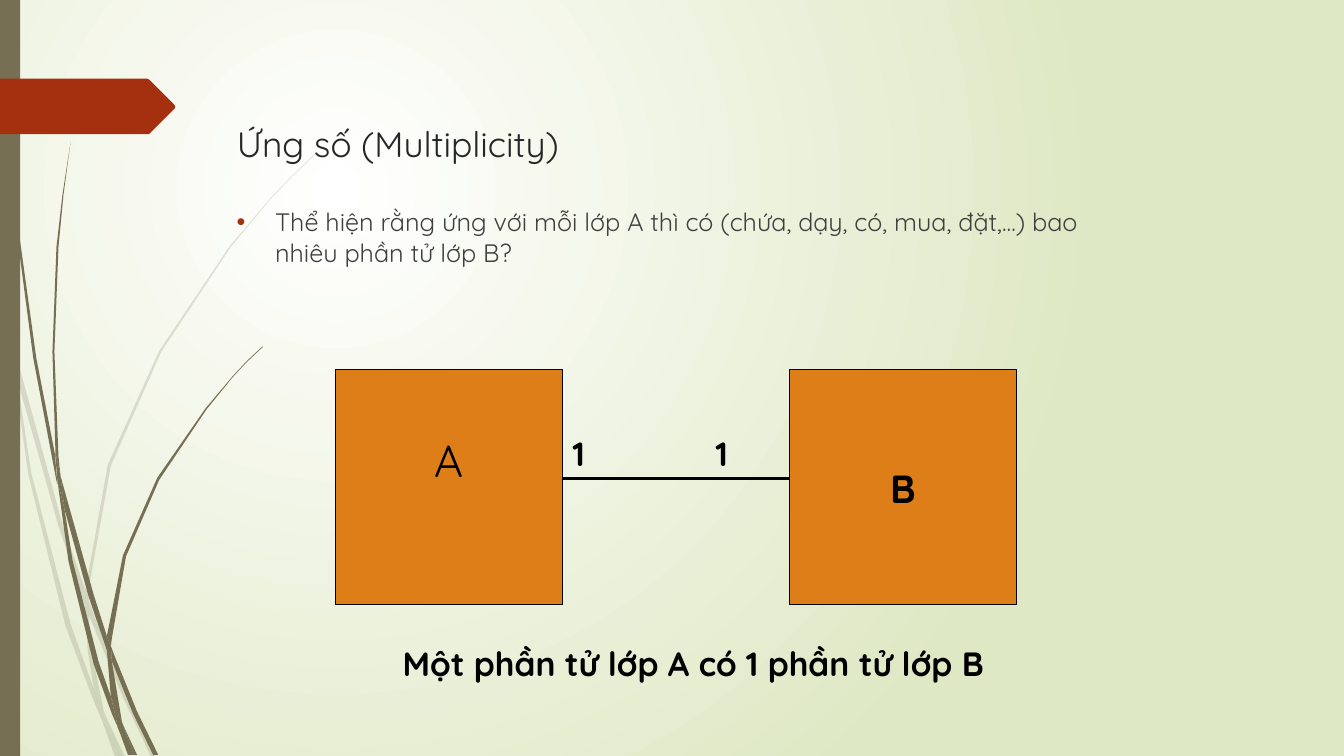
"""Builds the multiplicity slide: two classes joined by a one-to-one association."""
from dataclasses import dataclass

from pptx import Presentation, oxml, util as u
from pptx.dml.color import RGBColor
from pptx.enum import shapes, text
from pptx.oxml.ns import nsdecls, qn


@dataclass(frozen=True)
class Theme:
    font: str = "Quicksand"
    paper: str = "FFFFFF"
    paper_edge: str = "DFE8C4"
    grass: str = "766F54"
    accent: str = "A53010"
    box: str = "DE7E18"
    ink: str = "000000"
    title: str = "262626"
    body: str = "404040"
    title_size: float = 25.2
    body_size: int = 18
    label_size: int = 24
    class_a_size: int = 32
    class_b_size: int = 28


PALE_BLADES = [
    [(.11, 3.5), (.09, 3.22), (0, 2.82), (0, 2.99), (.1, 3.44)],
    [(.58, 5.22), (.84, 5.99), (.85, 5.86), (.62, 5.2), (.14, 3.45), (.17, 3.76)],
    [(.92, 6.07), (.88, 5.96), (.88, 6.1), (1.23, 6.94), (1.5, 7.51), (1.55, 7.51),
     (1.27, 6.92)],
    [(1.19, 7.51), (1.24, 7.51), (1.05, 7.11)],
    [(.93, 6.83), (.7, 6.19), (.31, 4.69), (.17, 3.76), (.11, 3.5), (.28, 4.7),
     (.65, 6.21), (.92, 6.93), (1.01, 7.14), (.99, 7.07)],
    [(.84, 5.99), (.87, 6.46), (.93, 6.83), (.96, 6.92), (1.05, 7.11), (1.03, 7.06),
     (.91, 6.46), (.88, 6.1), (.88, 6.08)],
    [(.88, 5.84), (1.1, 4.62), (1.6, 3.49), (2.29, 2.45), (2.68, 1.98), (2.9, 1.75),
     (3.12, 1.54), (3.12, 1.53), (2.89, 1.75), (2.68, 1.97), (2.28, 2.44), (1.58, 3.48),
     (1.07, 4.61), (.85, 5.84), (.85, 5.86), (.88, 5.96)],
    [(1.01, 7.14), (1.14, 7.51), (1.19, 7.51)],
    [(.88, 6.08), (.88, 6.1), (.88, 5.96), (.85, 5.86), (.84, 5.99)],
    [(.96, 6.92), (.93, 6.83), (.99, 7.07), (1.01, 7.14), (1.19, 7.51), (1.05, 7.11)],
]
DARK_BLADES = [
    [(.07, 1.1), (.17, 2.33), (.33, 3.55), (.56, 4.77), (.57, 4.81), (.55, 4.57),
     (.55, 4.53), (.36, 3.55), (.19, 2.32), (.08, 1.09), (.05, .48), (.04, 0), (.03, 0),
     (.04, .48)],
    [(.88, 5.92), (1.06, 6.45), (1.06, 6.33), (1.06, 6.31), (.93, 5.9), (.6, 4.72),
     (.64, 5.05)],
    [(1.13, 6.49), (1.1, 6.41), (1.11, 6.56), (1.32, 7.08), (1.52, 7.49), (1.57, 7.49),
     (1.36, 7.06)],
    [(1.1, 6.91), (.98, 6.57), (.72, 5.56), (.64, 5.05), (.57, 4.77), (.68, 5.57),
     (.93, 6.59), (1.11, 7.08), (1.17, 7.22), (1.16, 7.17)],
    [(.6, 4.72), (.58, 4.53), (.54, 3.49), (.58, 2.45), (.63, 1.93), (.7, 1.41),
     (.62, 1.93), (.56, 2.45), (.52, 3.49), (.55, 4.49)],
    [(1.33, 7.49), (1.36, 7.49), (1.22, 7.19)],
    [(.57, 4.77), (.64, 5.05), (.6, 4.72), (.55, 4.49), (.55, 4.53)],
    [(1.11, 6.33), (1.25, 5.52), (1.58, 4.76), (2.05, 4.06), (2.31, 3.74), (2.45, 3.59),
     (2.61, 3.44), (2.6, 3.44), (2.45, 3.58), (2.31, 3.73), (2.04, 4.05), (1.56, 4.74),
     (1.22, 5.51), (1.06, 6.31), (1.1, 6.41)],
    [(1.17, 7.22), (1.27, 7.49), (1.31, 7.49)],
    [(1.06, 6.45), (1.1, 6.91), (1.16, 7.06), (1.22, 7.19), (1.21, 7.16), (1.11, 6.56),
     (1.09, 6.51)],
    [(1.06, 6.45), (1.09, 6.51), (1.11, 6.56), (1.1, 6.41), (1.06, 6.31), (1.06, 6.33)],
    [(1.16, 7.06), (1.1, 6.91), (1.16, 7.17), (1.17, 7.22), (1.3, 7.49), (1.33, 7.49),
     (1.22, 7.19)],
]
ARROW_TAB = [(0, .78), (1.46, .78), (1.48, .79), (1.73, 1.04), (1.74, 1.06), (1.73, 1.08),
             (1.48, 1.33), (1.46, 1.33), (0, 1.33)]


def write(shape, content, *, size, color, font, bold=False, align=text.PP_ALIGN.LEFT,
          anchor=text.MSO_ANCHOR.TOP, wrap=True, bottom=0.05):
    frame = shape.text_frame
    frame.auto_size = text.MSO_AUTO_SIZE.NONE
    frame.word_wrap = wrap
    frame.vertical_anchor = anchor
    frame.margin_bottom = u.Inches(bottom)
    paragraph = frame.paragraphs[0]
    paragraph.alignment = align
    run = paragraph.add_run()
    run.text = content
    run.font.name = font
    run.font.size = u.Pt(size)
    run.font.bold = bold
    run.font.color.rgb = RGBColor.from_string(color)
    return paragraph


class SlideBuilder:
    def __init__(self, slide, theme):
        self.slide = slide
        self.theme = theme

    def background(self):
        stops = "".join(
            f'<a:gs pos="{position}"><a:srgbClr val="{color}"/></a:gs>'
            for position, color in ((0, self.theme.paper), (100000, self.theme.paper_edge)))
        self.slide.element.cSld.insert(0, oxml.parse_xml(
            f'<p:bg {nsdecls("p", "a")}><p:bgPr><a:gradFill rotWithShape="1">'
            f'<a:gsLst>{stops}</a:gsLst><a:path path="circle">'
            '<a:fillToRect l="50000" t="50000" r="100000" b="100000"/></a:path>'
            '</a:gradFill><a:effectLst/></p:bgPr></p:bg>'))

    def paint(self, shape, fill, line=None):
        shape.shadow.inherit = False
        shape.fill.solid()
        shape.fill.fore_color.rgb = RGBColor.from_string(fill)
        if line:
            shape.line.color.rgb = RGBColor.from_string(line)
            shape.line.width = u.Pt(0.75)
        else:
            shape.line.fill.background()
        return shape

    def outline(self, corners, fill, alpha=None):
        points = [(u.Inches(x), u.Inches(y)) for x, y in corners]
        builder = self.slide.shapes.build_freeform(*points[0])
        builder.add_line_segments(points[1:], close=True)
        shape = self.paint(builder.convert_to_shape(), fill)
        if alpha:
            color = shape.element.spPr.find(f'{qn("a:solidFill")}/{qn("a:srgbClr")}')
            color.append(oxml.parse_xml(f'<a:alpha {nsdecls("a")} val="{alpha * 1000}"/>'))

    def box(self, place, fill, line=None):
        shape = self.slide.shapes.add_shape(shapes.MSO_SHAPE.RECTANGLE, *map(u.Inches, place))
        return self.paint(shape, fill, line)

    def title(self, content, place):
        shape = self.slide.shapes.title
        shape.left, shape.top, shape.width, shape.height = map(u.Inches, place)
        self.slide.shapes.element.append(shape.element)
        write(shape, content, size=self.theme.title_size, color=self.theme.title,
              font=self.theme.font)

    def label(self, content, place, **style):
        shape = self.slide.shapes.add_textbox(*map(u.Inches, place))
        style = {"size": self.theme.label_size, "color": self.theme.ink,
                 "font": self.theme.font, "bold": True} | style
        return write(shape, content, **style)

    def bullet(self, content, place):
        paragraph = self.label(content, place, size=self.theme.body_size,
                               color=self.theme.body, bold=False)
        properties = paragraph._p.get_or_add_pPr()
        indent = u.Inches(0.38)
        properties.set("marL", str(indent))
        properties.set("indent", str(-indent))
        for mark in (f'<a:buClr {nsdecls("a")}><a:srgbClr val="{self.theme.accent}"/></a:buClr>',
                     f'<a:buFont {nsdecls("a")} typeface="Arial"/>',
                     f'<a:buChar {nsdecls("a")} char="•"/>'):
            properties.append(oxml.parse_xml(mark))

    def class_box(self, name, place, **style):
        shape = self.box(place, self.theme.box, self.theme.ink)
        write(shape, name, color=self.theme.ink, font=self.theme.font, wrap=False,
              align=text.PP_ALIGN.CENTER, anchor=text.MSO_ANCHOR.MIDDLE, **style)

    def association(self, left, right, y):
        line = self.slide.shapes.add_connector(
            shapes.MSO_CONNECTOR.STRAIGHT, *map(u.Inches, (left, y, right, y)))
        line.line.color.rgb = RGBColor.from_string(self.theme.ink)
        line.line.width = u.Pt(2.25)
        line.element.spPr.append(oxml.parse_xml(f'<a:effectLst {nsdecls("a")}/>'))


def main():
    presentation = Presentation()
    presentation.slide_width, presentation.slide_height = u.Inches(13.33), u.Inches(7.5)
    theme = Theme()
    builder = SlideBuilder(presentation.slides.add_slide(presentation.slide_layouts[5]), theme)

    builder.background()
    for blades, alpha in ((PALE_BLADES, 20), (DARK_BLADES, None)):
        for blade in blades:
            builder.outline(blade, theme.grass, alpha)
    builder.box((0, 0, 0.2, 7.5), theme.grass)
    builder.outline(ARROW_TAB, theme.accent)

    builder.title("Ứng số (Multiplicity)", (2.25, 1.16, 7, 0.53))
    builder.bullet("Thể hiện rằng ứng với mỗi lớp A thì có (chứa, dạy, có, mua, đặt,...) "
                   "bao nhiêu phần tử lớp B?", (2.25, 2, 8.96, 5.15))
    builder.class_box("A", (3.33, 3.67, 2.25, 2.33), size=theme.class_a_size, bottom=0.6)
    builder.class_box("B", (7.83, 3.67, 2.25, 2.33), size=theme.class_b_size, bold=True)
    builder.association(5.58, 7.83, 4.75)
    for left in (5.58, 7):
        builder.label("1", (left, 4.25, 0.75, 0.5))
    builder.label("Một phần tử lớp A có 1 phần tử lớp B", (3.25, 6.33, 7.25, 0.5),
                  align=text.PP_ALIGN.CENTER)
    presentation.save("out.pptx")


if __name__ == "__main__":
    main()
